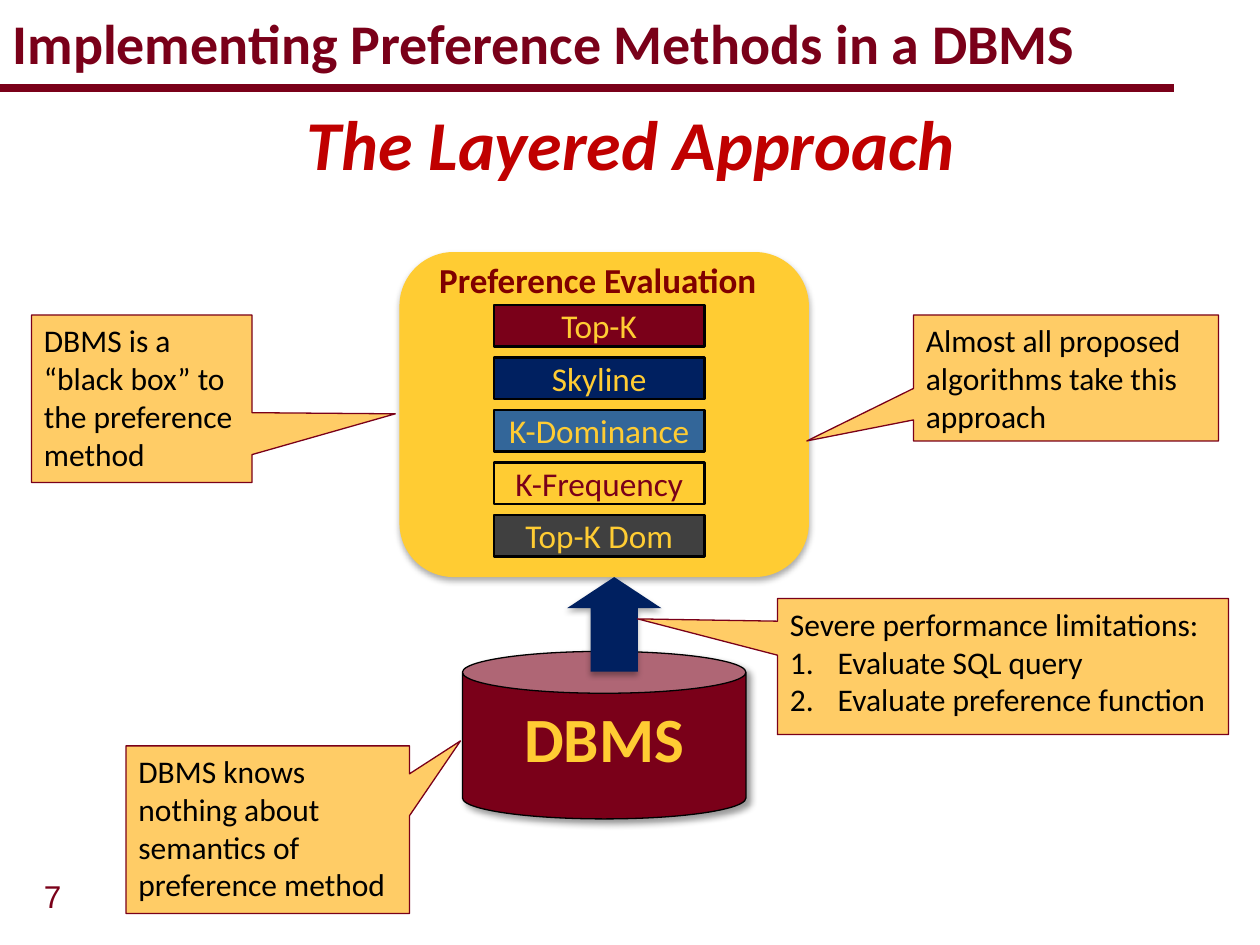
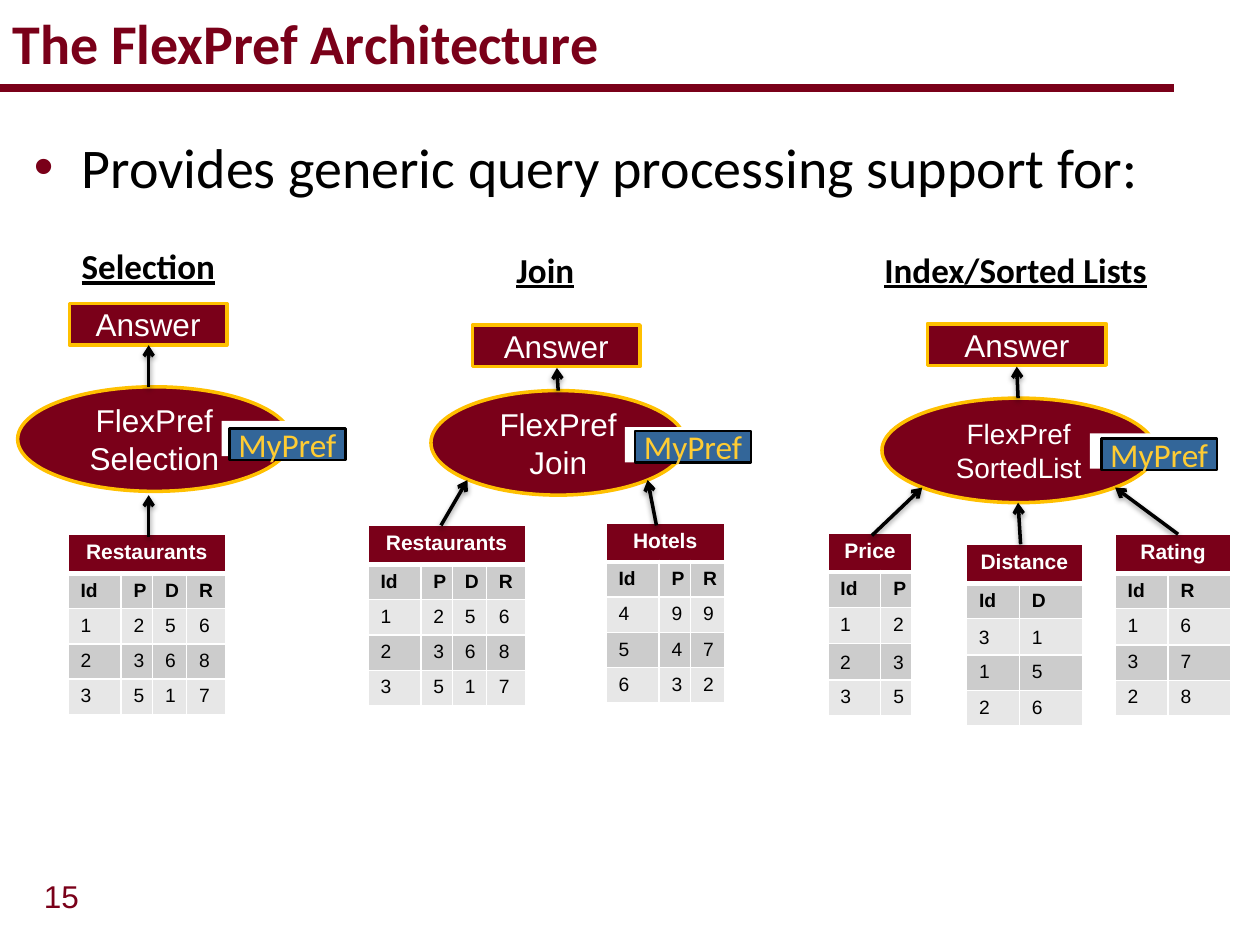
import pptx
import pptx.util
import pptx.dml.color
import pptx.enum.shapes
import pptx.enum.text
import pptx.oxml.ns
import lxml.etree

Inches = pptx.util.Inches
Pt = pptx.util.Pt
qn = pptx.oxml.ns.qn
SHAPE = pptx.enum.shapes.MSO_SHAPE
LEFT = pptx.enum.text.PP_ALIGN.LEFT
MID = pptx.enum.text.PP_ALIGN.CENTER
TOP = pptx.enum.text.MSO_ANCHOR.TOP
CENTER = pptx.enum.text.MSO_ANCHOR.MIDDLE

HUES = {
    "maroon": "7A0019", "wine": "800000", "red": "C00000", "gold": "FFCC33",
    "amber": "FFC000", "peach": "FFCC66", "navy": "002060", "blue": "336699",
    "coal": "404040", "black": "000000", "white": "FFFFFF",
    "gray": "CCCCCC", "pale": "E7E7E7",
}
SOFT = (32, 3.5, 2.2, 90)
DEEP = (40, 4, 3, 45)
FINE = (38, 3.1, 1.6, 90)

HEAD = {"name": "Calibri", "size": Pt(32), "bold": True}
LEAD = {"name": "Calibri", "size": Pt(40), "bold": True, "italic": True}
BODY = {"name": "Calibri", "size": Pt(32)}
NOTE = {"name": "Calibri", "size": Pt(18)}
LABEL = {"name": "Calibri", "size": Pt(20), "bold": True}
UNDER = {**LABEL, "underline": True}
CHIP = {"name": "Calibri", "size": Pt(19)}
STORE = {"name": "Calibri", "size": Pt(36), "bold": True}
PLAIN = {"name": "Arial", "size": Pt(18)}
SMALL = {"name": "Arial", "size": Pt(16)}
TOPROW = {"name": "Arial", "size": Pt(12), "bold": True}
CELL = {"name": "Arial", "size": Pt(11)}


def rgb(hue):
    return pptx.dml.color.RGBColor.from_string(HUES[hue])


def apply(item, form):
    for key, value in form.items():
        setattr(item, key, value)


def node(top, tag, **attrs):
    return lxml.etree.SubElement(top, qn(tag), **attrs)


def fill_text(frame, text, look, hue, align=LEFT):
    frame.text = text
    for para in frame.paragraphs:
        para.alignment = align
        for run in para.runs:
            apply(run.font, look)
            run.font.color.rgb = rgb(hue)


def write(frame, text, look, hue, align=LEFT, anchor=TOP, wrap=True):
    apply(frame, {"word_wrap": wrap, "vertical_anchor": anchor,
                  "auto_size": pptx.enum.text.MSO_AUTO_SIZE.NONE})
    fill_text(frame, text, look, hue, align)


def bullet(para, tag, hue=None, **attrs):
    props = para._p.get_or_add_pPr()
    props.set("marL", str(Inches(0.38)))
    props.set("indent", str(-Inches(0.38)))
    if hue:
        node(node(props, "a:buClr"), "a:srgbClr", val=HUES[hue])
        node(props, "a:buFont", typeface="Arial")
    node(props, tag, **attrs)


def cast(shape, shade=None):
    props = shape.element.spPr
    effects = node(props, "a:effectLst")
    if shade:
        alpha, blur, dist, angle = shade
        drop = node(effects, "a:outerShdw", blurRad=str(Pt(blur)),
                    dist=str(Pt(dist)), dir=str(angle * 60000),
                    algn="ctr", rotWithShape="0")
        shadow = node(drop, "a:srgbClr", val=HUES["black"])
        node(shadow, "a:alpha", val=str(alpha * 1000))


def draw(shapes, kind, box, fill, edge=None, width=0.75, shade=None, adj=()):
    shape = shapes.add_shape(kind, *map(Inches, box))
    shape.fill.solid()
    shape.fill.fore_color.rgb = rgb(fill)
    if edge:
        shape.line.color.rgb = rgb(edge)
        shape.line.width = Pt(width)
    else:
        shape.line.fill.background()
    for spot, value in enumerate(adj):
        shape.adjustments[spot] = value
    cast(shape, shade)
    return shape


def label(shapes, box, text, look, hue, align=LEFT):
    shape = shapes.add_textbox(*map(Inches, box))
    write(shape.text_frame, text, look, hue, align)
    return shape


def chip(shapes, box, text, fill, hue="gold"):
    shape = draw(shapes, SHAPE.RECTANGLE, box, fill, "black", 1.5)
    write(shape.text_frame, text, CHIP, hue, MID, CENTER, False)


def badge(shapes, kind, box, text, look=PLAIN):
    shape = draw(shapes, kind, box, "maroon", "amber", 2)
    write(shape.text_frame, text, look, "white", MID, CENTER)


def callout(shapes, box, text, adj):
    shape = draw(shapes, SHAPE.RECTANGULAR_CALLOUT, box, "peach", "maroon", adj=adj)
    write(shape.text_frame, text, NOTE, "black")
    return shape


def line(shapes, ends, hue, width, shade=None):
    link = shapes.add_connector(pptx.enum.shapes.MSO_CONNECTOR.STRAIGHT,
                                *map(Inches, ends))
    link.line.color.rgb = rgb(hue)
    link.line.width = Pt(width)
    cast(link, shade)
    return link


def arrow(shapes, ends):
    link = line(shapes, ends, "black", 2, FINE)
    node(link.line._get_or_add_ln(), "a:tailEnd", type="arrow")


def paint(cell, fill, base):
    props = cell._tc.get_or_add_tcPr()
    for side in "LRTB":
        width = base if side == "B" else 1
        edge = node(props, "a:ln" + side, w=str(Pt(width)))
        node(node(edge, "a:solidFill"), "a:srgbClr", val=HUES["white"])
    cell.fill.solid()
    cell.fill.fore_color.rgb = rgb(fill)


def grid(shapes, left, top, name, widths, rows):
    count = len(widths)
    table = shapes.add_table(len(rows) + 1, count, Inches(left), Inches(top),
                             Inches(sum(widths)), Inches(1.43)).table
    for col, width in zip(table.columns, widths):
        col.width = Inches(width)
    for spot, row in enumerate(table.rows):
        row.height = Inches(0.28 if spot else 0.31)
        fill = ("pale", "gray")[spot % 2] if spot else "maroon"
        for cell in row.cells:
            paint(cell, fill, 1 if spot else 3)
    table.cell(0, 0).merge(table.cell(0, count - 1))
    fill_text(table.cell(0, 0).text_frame, name, TOPROW, "white", MID)
    for spot, row in enumerate(rows, 1):
        for col in range(count):
            frame = table.cell(spot, col).text_frame
            if row:
                fill_text(frame, row[col], {**CELL, "bold": spot == 1}, "black")
            else:
                node(frame.paragraphs[0]._p, "a:endParaRPr", sz="1100")


def pair(shapes, left, top, width, values):
    shape = label(shapes, (left, top, width, 0.29), "\t".join(values), CELL, "black")
    props = shape.text_frame.paragraphs[0]._p.get_or_add_pPr()
    node(node(props, "a:tabLst"), "a:tab", pos=str(Inches(0.42)), algn="l")


def start(deck, title, number):
    slide = deck.slides.add_slide(deck.slide_layouts[5])
    label(slide.shapes, (0.25, 6.91, 0.51, 0.4), number, PLAIN, "maroon")
    line(slide.shapes, (-0.01, 0.7, 9.32, 0.7), "maroon", 4.5)
    head = slide.shapes.title
    apply(head, {"left": 0, "top": 0, "width": Inches(9.5), "height": Inches(0.67)})
    write(head.text_frame, title, HEAD, "maroon", LEFT, CENTER)
    return slide.shapes


def layers(deck):
    shapes = start(deck, "Implementing Preference Methods in a DBMS", "7")
    label(shapes, (0.17, 0.75, 9.67, 0.77), "The Layered Approach", LEAD, "red", MID)
    panel = shapes.add_group_shape().shapes
    draw(panel, SHAPE.ROUNDED_RECTANGLE, (3.17, 2, 3.25, 2.58), "gold", shade=SOFT)
    label(panel, (3.33, 2, 2.83, 0.44), "Preference Evaluation", LABEL, "wine", MID)
    methods = [("Top-K", "maroon", "gold"), ("Skyline", "navy", "gold"),
               ("K-Dominance", "blue", "gold"), ("K-Frequency", "gold", "maroon"),
               ("Top-K Dom", "coal", "gold")]
    for spot, (text, fill, hue) in enumerate(methods):
        chip(panel, (3.92, 2.42 + spot * 5 / 12, 1.67, 0.33), text, fill, hue)

    store = draw(shapes, SHAPE.CAN, (3.67, 5.17, 2.25, 1.33), "maroon", "black", shade=DEEP)
    write(store.text_frame, "DBMS", STORE, "gold", MID)
    draw(shapes, SHAPE.UP_ARROW, (4.5, 4.58, 0.75, 0.75), "navy", shade=SOFT, adj=(0.5, 0.33))

    callout(shapes, (0.25, 2.5, 1.75, 1.33),
            "DBMS is a “black box” to the preference method", (1.15, 0.09))
    limits = callout(shapes, (6.17, 4.75, 3.58, 1.08),
                     "Severe performance limitations:\nEvaluate SQL query\n"
                     "Evaluate preference function", (-0.81, -0.35))
    for para in limits.text_frame.paragraphs[1:]:
        bullet(para, "a:buAutoNum", type="arabicPeriod")
    callout(shapes, (1, 5.92, 2.25, 1.33),
            "DBMS knows nothing about semantics of preference method", (0.68, -0.53))
    callout(shapes, (7.25, 2.5, 2.42, 1),
            "Almost all proposed algorithms take this approach", (-0.85, 0.5))


def flow(shapes, name, spot, answer, oval, text, look, tables, arrows, patch, pref):
    label(shapes, spot, name, UNDER, "black")
    badge(shapes, SHAPE.RECTANGLE, answer, "Answer")
    badge(shapes, SHAPE.OVAL, oval, text, look)
    for table in tables:
        grid(shapes, *table)
    for ends in arrows:
        arrow(shapes, ends)
    draw(shapes, SHAPE.RECTANGLE, patch, "white")
    chip(shapes, (*pref, 0.92, 0.25), "MyPref", "blue")


def design(deck):
    shapes = start(deck, "The FlexPref Architecture", "15")
    point = label(shapes, (0.17, 1, 9.67, 0.67),
                  "Provides generic query processing support for:", BODY, "black")
    bullet(point.text_frame.paragraphs[0], "a:buChar", "maroon", char="•")

    foods = ("Restaurants", (0.42, 0.25, 0.27, 0.31),
             (("Id", "P", "D", "R"), "1256", "2368", "3517"))
    hotels = ("Hotels", (0.42, 0.25, 0.27), (("Id", "P", "R"), "499", "547", "632"))
    price = ("Price", (0.42, 0.25), (("Id", "P"), "", "", "35"))
    far = ("Distance", (0.42, 0.5), (("Id", "D"), "", "15", "26"))
    rate = ("Rating", (0.42, 0.5), (("Id", "R"), "", "37", "28"))

    flow(shapes, "Selection", (0.55, 1.89, 1.33, 0.44), (0.55, 2.41, 1.25, 0.33),
         (0.14, 3.07, 2.17, 0.83), "FlexPref\nSelection", PLAIN,
         [(0.54, 4.24, *foods)],
         [(1.18, 3.07, 1.18, 2.74), (1.18, 4.26, 1.18, 3.93)],
         (1.76, 3.34, 0.9, 0.28), (1.82, 3.4))
    flow(shapes, "Join", (4, 1.92, 0.83, 0.44), (3.75, 2.58, 1.33, 0.33),
         (3.42, 3.1, 2.02, 0.83), "FlexPref\nJoin", PLAIN,
         [(2.92, 4.17, *foods), (4.81, 4.15, *hotels)],
         [(3.5, 4.17, 3.71, 3.81), (5.21, 4.17, 5.14, 3.81), (4.43, 3.1, 4.42, 2.92)],
         (4.96, 3.39, 0.75, 0.28), (5.04, 3.42))
    flow(shapes, "Index/Sorted Lists", (6.92, 1.92, 2.58, 0.44), (7.36, 2.57, 1.42, 0.33),
         (7, 3.16, 2.17, 0.83), "FlexPref\nSortedList", SMALL,
         [(6.57, 4.23, *price), (7.67, 4.32, *far), (8.85, 4.24, *rate)],
         [(8.08, 3.16, 8.07, 2.91), (8.1, 4.32, 8.08, 3.99),
          (6.92, 4.25, 7.32, 3.87), (9.35, 4.24, 8.85, 3.87)],
         (8.65, 3.44, 0.75, 0.28), (8.74, 3.48))
    for place in [(6.57, 4.81, 0.75, "12"), (6.57, 5.11, 0.75, "23"),
                  (7.67, 4.91, 0.92, "31"), (8.85, 4.82, 0.92, "16")]:
        pair(shapes, *place)


def main():
    deck = pptx.Presentation()
    apply(deck, {"slide_width": Inches(10), "slide_height": Inches(7.5)})
    layers(deck)
    design(deck)
    deck.save("out.pptx")


if __name__ == "__main__":
    main()
